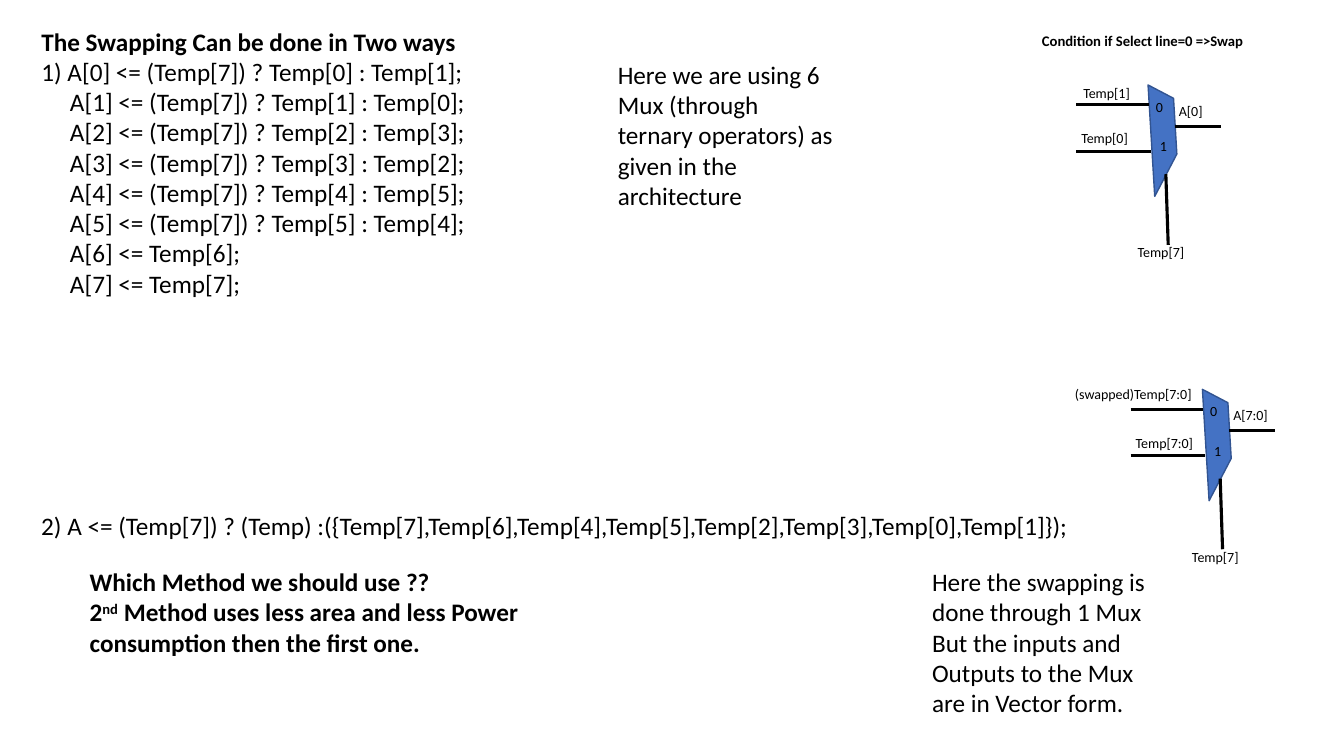
from pptx import Presentation
from pptx.dml.color import RGBColor
from pptx.enum.shapes import MSO_CONNECTOR as Connector, MSO_SHAPE as Shape
from pptx.enum.text import MSO_ANCHOR as Anchor, MSO_AUTO_SIZE as AutoSize, PP_ALIGN as Align
from pptx.oxml.ns import qn
from pptx.util import Cm, Pt
from lxml.etree import SubElement


def color(hex_string):
    return RGBColor.from_string(hex_string)


class MuxSlide:
    font = "Calibri"
    ink = "000000"
    mux_fill = "4472C4"
    mux_line = "325491"

    def __init__(self, presentation):
        self.slide = presentation.slides.add_slide(presentation.slide_layouts[1])

    def place(self, shape, left, top, width, height):
        shape.left, shape.top = Cm(left), Cm(top)
        shape.width, shape.height = Cm(width), Cm(height)

    def fill_text(self, shape, lines, size=18, bold=False, wrap=True):
        frame = shape.text_frame
        frame.text = "\n".join(lines)
        frame.word_wrap = wrap
        frame.auto_size = AutoSize.NONE
        frame.vertical_anchor = Anchor.TOP
        for paragraph in frame.paragraphs:
            paragraph.alignment = Align.LEFT
            paragraph.space_before = Pt(0)
            for run in paragraph.runs:
                self.style(run, size, bold)

    def style(self, run, size, bold):
        run.font.name = self.font
        run.font.size = Pt(size)
        run.font.bold = bold
        run.font.color.rgb = color(self.ink)

    def title(self, text, *box):
        shape = self.slide.shapes.title
        self.place(shape, *box)
        self.fill_text(shape, [text], bold=True)

    def code_list(self, lines, indent, *box):
        """Fill the body placeholder; lines after the first are indented."""
        shape = self.slide.placeholders[1]
        self.place(shape, *box)
        self.fill_text(shape, lines)
        for number, paragraph in enumerate(shape.text_frame.paragraphs):
            properties = paragraph._p.get_or_add_pPr()
            properties.set("marL", str(Cm(indent) if number else 0))
            properties.set("indent", "0")
            SubElement(properties, qn("a:buNone"))

    def text(self, lines, left, top, width, height, shapes=None, **style):
        shapes = shapes or self.slide.shapes
        shape = shapes.add_textbox(Cm(left), Cm(top), Cm(width), Cm(height))
        self.fill_text(shape, lines, **style)
        return shape

    def superscript(self, paragraph, before, raised, after):
        paragraph.text = ""
        for part in (before, raised, after):
            run = paragraph.add_run()
            run.text = part
            self.style(run, 18, True)
            if part == raised:
                run.font._element.set("baseline", "30000")

    def wire(self, shapes, *ends):
        line = shapes.add_connector(Connector.STRAIGHT, *(Cm(end) for end in ends))
        line.line.color.rgb = color(self.ink)
        line.line.width = Pt(2.25)
        SubElement(line._element.spPr, qn("a:effectLst"))

    def mux(self, left, top, labels):
        """Draw a 2:1 mux; labels are (text, x, y, width) relative to its corner."""
        shapes = self.slide.shapes.add_group_shape().shapes
        body = shapes.add_shape(Shape.DIAGONAL_STRIPE, Cm(left), Cm(top), Cm(2.41), Cm(1.45))
        body.rotation = 117.6
        body.shadow.inherit = False
        body.fill.solid()
        body.fill.fore_color.rgb = color(self.mux_fill)
        body.line.color.rgb = color(self.mux_line)
        body.line.width = Pt(1)
        wires = [
            (-0.69, -0.18, 1.14, -0.18),
            (-0.69, 0.99, 1.19, 0.99),
            (1.8, 0.36, 2.95, 0.36),
            (1.57, 1.57, 1.63, 3.35),
        ]
        for x1, y1, x2, y2 in wires:
            self.wire(shapes, left + x1, top + y1, left + x2, top + y2)
        pins = [("0", 1.07, -0.46, 0.69), ("1", 1.17, 0.53, 0.69), ("Temp[7]", 0.61, 3.2, 1.75)]
        for label, x, y, width in pins + labels:
            self.text([label], left + x, top + y, width, 0.69, shapes, size=10, wrap=False)


def main():
    presentation = Presentation()
    presentation.slide_width, presentation.slide_height = Cm(33.87), Cm(19.05)
    page = MuxSlide(presentation)

    page.title("The Swapping Can be done in Two ways", 0.79, 0.53, 13, 1.02)
    swapped_pairs = [
        f"A[{bit}] <= (Temp[7]) ? Temp[{bit}] : Temp[{bit ^ 1}];" for bit in range(6)
    ]
    kept_bits = [f"A[{bit}] <= Temp[{bit}];" for bit in (6, 7)]
    first_method = swapped_pairs + kept_bits
    first_method[0] = "1) " + first_method[0]
    page.code_list(first_method, 0.72, 0.79, 1.29, 13, 6.5)
    page.text(
        ["2) A <= (Temp[7]) ? (Temp) :"
         "({Temp[7],Temp[6],Temp[4],Temp[5],Temp[2],Temp[3],Temp[0],Temp[1]});"],
        0.79, 12.73, 27.97, 1.03)

    page.text(["Here we are using 6 Mux (through ternary operators) as given in the architecture"],
              15.32, 1.37, 5.92, 4.11)
    page.text(["Here the swapping is done through 1 Mux But the inputs and",
               "Outputs to the Mux are in Vector form."], 23.24, 14.15, 5.92, 4.11)
    verdict = page.text(["Which Method we should use ??", ""], 2.01, 14.15, 11.35, 2.57, bold=True)
    page.superscript(verdict.text_frame.paragraphs[1], "2", "nd",
                     " Method uses less area and less Power consumption then the first one.")

    page.text(["Condition if Select line=0 =>Swap"], 26.01, 0.69, 6.12, 0.74, size=10.5, bold=True)
    page.mux(27.81, 2.82, [
        ("Temp[1]", -0.76, -0.81, 1.75),
        ("Temp[0]", -0.81, 0.33, 1.75),
        ("A[0]", 1.65, -0.36, 1.12),
    ])
    page.mux(29.18, 10.49, [
        ("(swapped)Temp[7:0]", -2.34, -0.89, 3.53),
        ("Temp[7:0]", -0.81, 0.33, 2.01),
        ("A[7:0]", 1.65, -0.36, 1.4),
    ])
    presentation.save("out.pptx")


if __name__ == "__main__":
    main()
